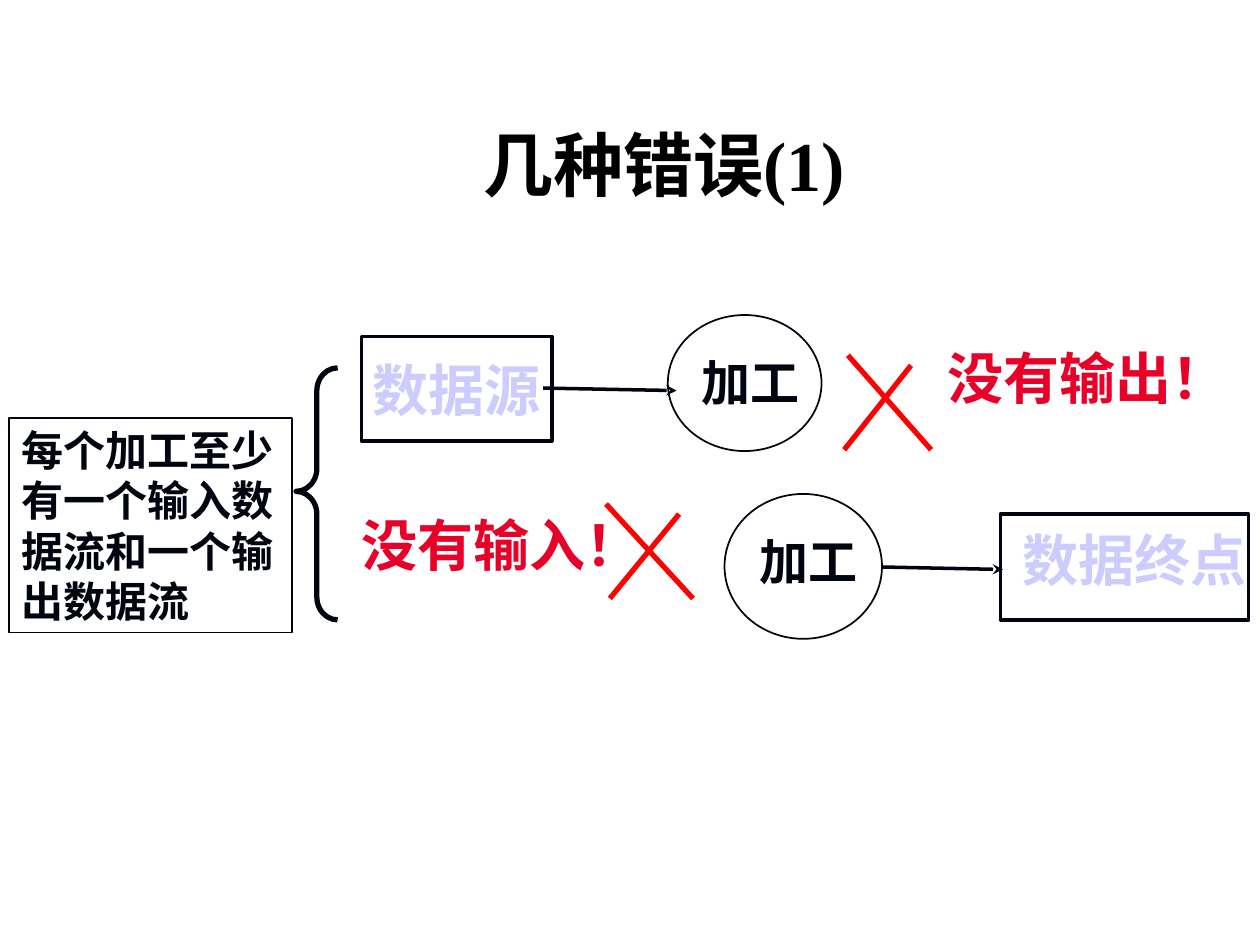
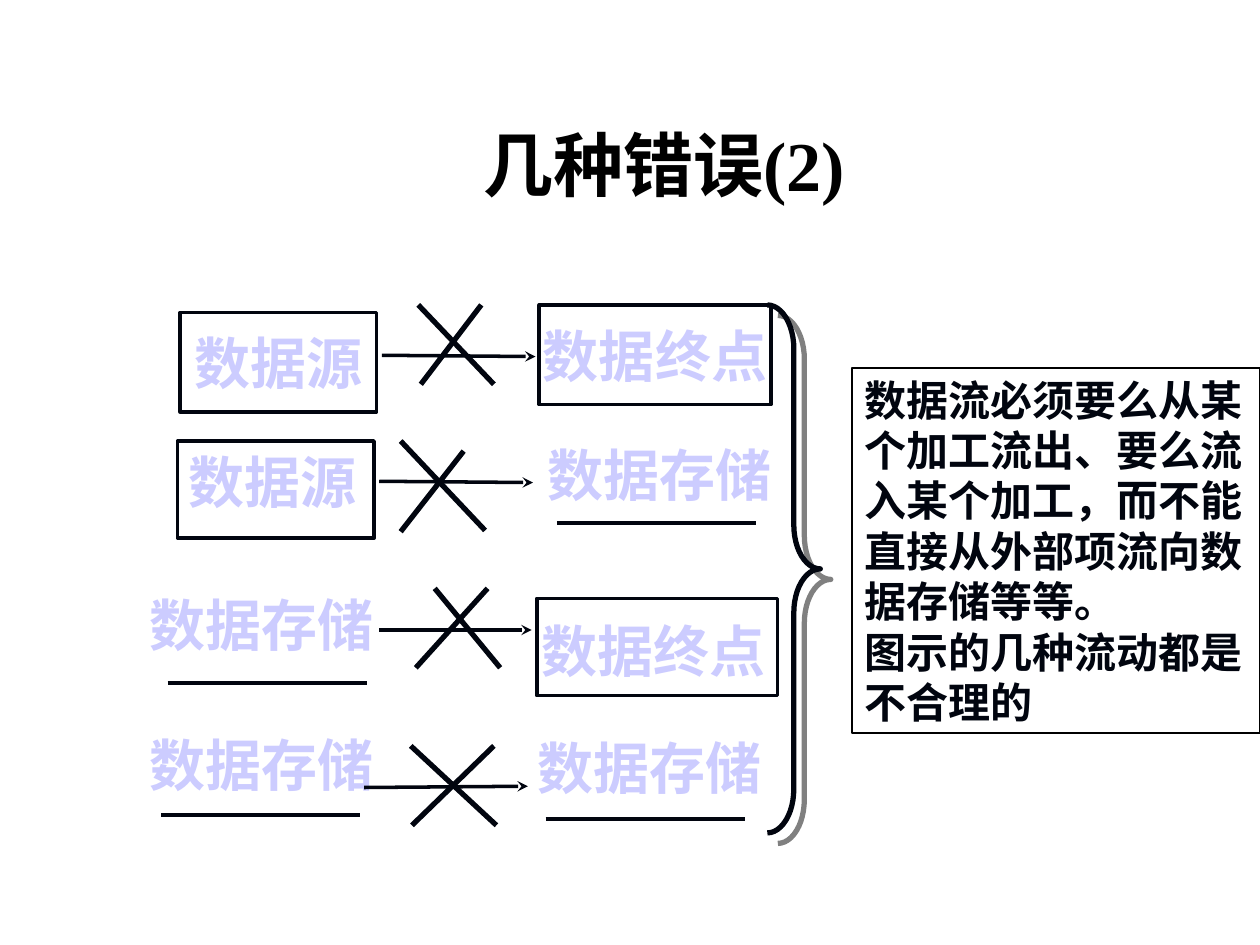
from dataclasses import dataclass
from typing import Any

from lxml import etree
from pptx import Presentation
from pptx.dml.color import RGBColor
from pptx.enum import shapes, text
from pptx.oxml import ns
from pptx.util import Inches, Pt

COLS, ROWS = 100, 75
CELL = Inches(0.1)
INK = RGBColor(0x01, 0x05, 0x0F)
BLACK = RGBColor(0, 0, 0)
WHITE = RGBColor(255, 255, 255)
PALE = RGBColor(0xCC, 0xCC, 0xFF)
ROSE = RGBColor(0xE8, 0x00, 0x29)
RED = RGBColor(255, 0, 0)
SANS, SERIF = "Noto Sans CJK SC", "Times New Roman"
KIND = shapes.MSO_SHAPE
LEFT, MID = text.PP_ALIGN.LEFT, text.PP_ALIGN.CENTER
TOP, HALF = text.MSO_ANCHOR.TOP, text.MSO_ANCHOR.MIDDLE


@dataclass
class Pane:
    items: Any
    left: float = 0
    top: float = 0

    def spot(self, x, y, w, h):
        return [round(n * CELL) for n in (self.left + x, self.top + y, w, h)]

    def ends(self, x1, y1, x2, y2):
        return self.spot(x1, y1, self.left + x2, self.top + y2)


def node(base, tag, **attrs):
    return etree.SubElement(base, ns.qn(tag), attrs)


def write(shape, lines, size, ink, face=SANS, align=LEFT, anchor=TOP, wrap=True):
    frame = shape.text_frame
    look = {"word_wrap": wrap, "vertical_anchor": anchor}
    for key, value in look.items():
        setattr(frame, key, value)
    style = {"size": Pt(size), "bold": True, "name": face}
    for i, line in enumerate(lines):
        para = frame.add_paragraph() if i else frame.paragraphs[0]
        para.alignment = align
        run = para.add_run()
        run.text = line
        for key, value in style.items():
            setattr(run.font, key, value)
        run.font.color.rgb = ink
        node(run._r.get_or_add_rPr(), "a:ea", typeface=SANS)


def form(pane, kind, spot, width, fill=None, ink=INK):
    shape = pane.items.add_shape(kind, *pane.spot(*spot))
    shape.shadow.inherit = False
    if fill is None:
        shape.fill.background()
    else:
        shape.fill.solid()
        shape.fill.fore_color.rgb = fill
    shape.line.color.rgb = ink
    shape.line.width = Pt(width)
    return shape


def label(pane, x, y, words, size=32, ink=PALE):
    wide = len(words) * size / 7.2 + 2
    box = pane.items.add_textbox(*pane.spot(x, y, wide, size / 5))
    write(box, [words], size, ink, wrap=False)


def stroke(pane, ends, width=2, ink=INK, tip=False):
    line = pane.items.add_connector(shapes.MSO_CONNECTOR.STRAIGHT, *pane.ends(*ends))
    line.line.color.rgb = ink
    line.line.width = Pt(width)
    props = line._element.spPr
    if tip:
        node(props.find(ns.qn("a:ln")), "a:tailEnd", type="stealth")
    node(props, "a:effectLst")


def cross(pane, pair, ink=INK):
    for ends in pair:
        stroke(pane, ends, 3, ink)


def entity(pane, spot, words, shift=None):
    shape = form(pane, KIND.RECTANGLE, spot, 2, WHITE)
    if shift:
        label(pane, spot[0] + shift[0], spot[1] + shift[1], words)
    else:
        write(shape, [words], 32, PALE, align=MID, anchor=HALF, wrap=False)


def store(pane, x, y, dx, dy):
    label(pane, x, y, "数据存储")
    stroke(pane, (x + dx, y + dy, x + dx + 15.8, y + dy))


def process(pane, spot, x, y):
    form(pane, KIND.OVAL, spot, 1)
    label(pane, x, y, "加工", 28, INK)


def brace(pane, kind, spot, bend, peak):
    shape = form(pane, kind, spot, 3)
    shape.adjustments[0] = bend
    shape.adjustments[1] = peak
    return shape


def shade(shape):
    group = shape._element.spPr.find(ns.qn("a:effectLst"))
    drop = node(group, "a:outerShdw", dist=str(Pt(8.5)), dir="2700000",
                algn="ctr", rotWithShape="0")
    node(drop, "a:srgbClr", val="808080")


def note(pane, spot, lines, ink=INK):
    write(form(pane, KIND.RECTANGLE, spot, 1, ink=ink), lines, 24, INK)


def start(deck, words):
    slide = deck.slides.add_slide(deck.slide_layouts[5])
    title = slide.shapes.title
    place = zip(("left", "top", "width", "height"),
                Pane(None).spot(13.2, 6.7, 79, 12.5))
    for key, value in place:
        setattr(title, key, value)
    write(title, [words], 40, BLACK, SERIF, MID, HALF)
    return slide.shapes


def mute(pane):
    entity(pane, (1.7, 1.7, 15.1, 8.3), "数据源")
    process(pane, (26, 0, 12.2, 10.8), 27.7, 2.5)
    stroke(pane, (16.1, 5.8, 26.7, 6), tip=True)
    cross(pane, [(40.3, 3.2, 46.9, 10.7), (45.3, 4, 40, 10.7)], RED)
    label(pane, 47.2, 1.8, "没有输出！", ink=ROSE)


def blind(pane):
    label(pane, 0.7, 0.8, "没有输入！", ink=ROSE)
    cross(pane, [(21.1, 0.8, 28, 8.3), (26.9, 1.6, 21.4, 8.3)], RED)
    process(pane, (30.5, 0, 12.5, 11.5), 32.3, 2.5)
    entity(pane, (52.4, 1.6, 19.7, 8.4), "数据终点", (0.8, 0.4))
    stroke(pane, (43, 5.8, 52.6, 6), tip=True)


def first(deck):
    items = start(deck, "几种错误(1)")
    mute(Pane(items, 27, 25))
    blind(Pane(items, 27, 39.2))
    side = Pane(items, 0.7, 29.2)
    brace(side, KIND.LEFT_BRACE, (22.8, 0, 3.3, 20), 0.55, 0.49)
    note(side, (0, 4, 22.5, 17), ["每个加工至少有一个输入数", "据流和一个输出数据流"])


FLOWS = [
    (24.2, (entity, (4.3, 0.6, 15.6, 7.9), "数据源"),
     (entity, (32.8, 0, 18.4, 7.9), "数据终点"),
     (20.3, 4, 32.5, 4.1), [(23.2, 0, 29.2, 6.3), (28.2, 0, 23.4, 6.3)]),
    (35, (entity, (4.1, 0, 15.6, 7.7), "数据源", (-0.1, 0)),
     (store, 32.5, -0.5, 1.7, 7),
     (20.1, 3.2, 32.3, 3.3), [(21.8, 0, 28.5, 7.1), (26.8, 0.8, 21.8, 7.2)]),
    (46.4, (store, 0.9, 0, 2.4, 7.8),
     (entity, (32.6, 1.1, 19.1, 7.7), "数据终点", (-0.6, 0.9)),
     (20.1, 3.6, 32.2, 3.6), [(24.5, 0.3, 29.7, 6.6), (28.7, 0.3, 23, 6.6)]),
    (57.5, (store, 0.9, 0, 1.9, 7.2), (store, 31.7, 0.2, 1.6, 7.3),
     (18.9, 5, 31.9, 4.9), [(22.6, 1.7, 29.4, 8), (29.2, 1.7, 22.7, 8)]),
]


def flow(pane, source, goal, arrow, pair):
    for draw, *args in (source, goal):
        draw(pane, *args)
    stroke(pane, arrow, tip=True)
    cross(pane, pair)


def second(deck):
    items = start(deck, "几种错误(2)")
    for top, *row in FLOWS:
        flow(Pane(items, 10, top), *row)
    side = Pane(items, 60.9, 24.2)
    shade(brace(side, KIND.RIGHT_BRACE, (0, 0, 4.2, 41.9), 0.83, 0.5))
    note(side, (6.7, 5, 32.4, 29),
         ["数据流必须要么从某个加工流出、要么流入某个加工，而不能直接从外部项流向数据存储等等。",
          "图示的几种流动都是不合理的"], BLACK)


def main():
    deck = Presentation()
    deck.slide_width, deck.slide_height = COLS * CELL, ROWS * CELL
    first(deck)
    second(deck)
    deck.save("out.pptx")


if __name__ == "__main__":
    main()
